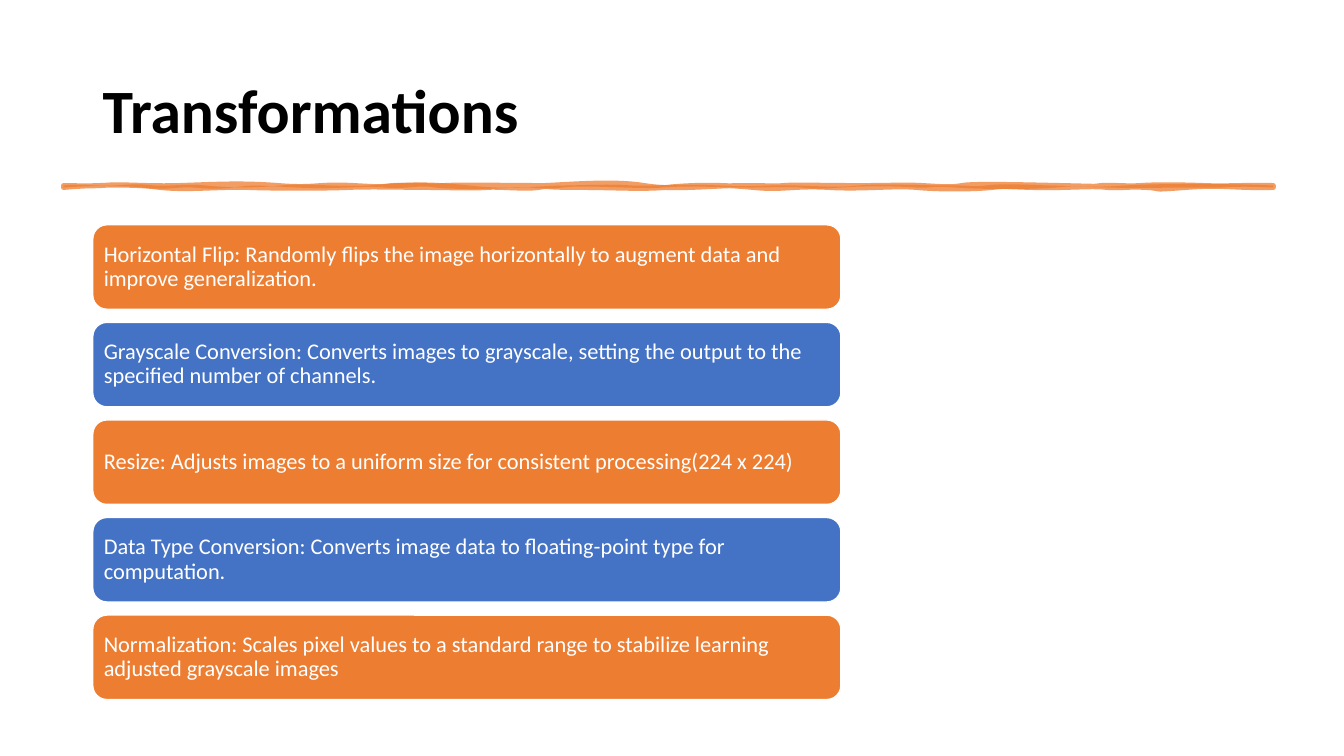
from lxml.etree import SubElement
from pptx import Presentation
from pptx.dml.color import RGBColor
from pptx.enum.shapes import MSO_SHAPE as Shape
from pptx.enum.text import MSO_ANCHOR as Anchor, PP_ALIGN as Align
from pptx.oxml.ns import qn
from pptx.util import Inches, Pt

COLORS = {"orange": "ED7D31", "blue": "4472C4", "white": "FFFFFF", "black": "000000"}
FONT = "Calibri"
TRANSFORMATIONS = [
    "Horizontal Flip: Randomly flips the image horizontally to augment data and improve generalization.",
    "Grayscale Conversion: Converts images to grayscale, setting the output to the specified number of channels.",
    "Resize: Adjusts images to a uniform size for consistent processing(224 x 224)",
    "Data Type Conversion: Converts image data to floating-point type for computation.",
    "Normalization: Scales pixel values to a standard range to stabilize learning adjusted grayscale images",
]

# Brush waves: control x, bend, control x, bend, end x
# (x in inches on the slide, bends in hundredths of an inch from the edge)
OUTLINE_TOP = [
    (0.81, 0, 0.83, 1, 1.02), (1.2, -2, 1.43, 1, 1.77), (2.1, -1, 2.37, -3, 2.76),
    (3.14, 3, 3.13, -2, 3.51), (3.88, 2, 3.75, 1, 3.9), (4.04, -1, 4.3, 1, 4.41),
    (4.51, -1, 5.15, 0, 5.4), (5.64, -1, 6.09, -5, 6.39), (6.69, 5, 7.06, 0, 7.38),
    (7.69, 0, 7.66, 1, 7.77), (7.87, -1, 8.19, 0, 8.52), (8.84, 0, 8.97, -1, 9.15),
    (9.33, 1, 9.43, 2, 9.54), (9.64, -2, 10.08, -1, 10.53), (10.97, 1, 10.82, 1, 10.92),
    (11.01, -1, 11.17, 1, 11.31), (11.44, -1, 11.68, -1, 11.94), (12.19, 1, 12.41, -1, 12.63)]
OUTLINE_BOTTOM = [
    (12.21, 1, 12.16, -3, 11.76), (11.36, 3, 11.56, 1, 11.37), (11.17, -1, 11.13, 1, 10.98),
    (10.82, -2, 10.59, 1, 10.23), (9.86, -1, 10.03, -2, 9.84), (9.65, 2, 9.3, 2, 9.09),
    (8.87, -2, 8.56, 2, 8.22), (7.87, -2, 7.77, 3, 7.47), (7.17, -3, 6.86, -3, 6.6),
    (6.34, 2, 6.11, 0, 5.73), (5.35, 0, 5.47, -2, 5.34), (5.21, 2, 4.94, -1, 4.83),
    (4.72, 1, 4.35, 0, 4.2), (4.05, 0, 3.66, -1, 3.45), (3.23, 1, 2.71, 1, 2.46),
    (2.2, -1, 1.86, 3, 1.59), (1.31, -4, 0.85, -2, 0.63)]
BODY_TOP = [
    (0.81, -2, 0.96, 1, 1.14), (1.31, -1, 1.35, -2, 1.53), (1.71, 1, 1.83, -2, 2.04),
    (2.24, 2, 2.48, 3, 2.79), (3.09, -3, 3.29, 2, 3.66), (4.02, -3, 4.18, -5, 4.65),
    (5.11, 5, 5.31, 0, 5.64), (5.96, -1, 6.12, -1, 6.27), (6.41, 1, 6.75, -2, 7.14),
    (7.52, 2, 7.57, -1, 7.89), (8.2, 1, 8.34, 2, 8.52), (8.69, -2, 9.2, 0, 9.39),
    (9.57, -1, 9.62, 2, 9.78), (9.93, -2, 10.13, -1, 10.41), (10.68, 1, 10.87, 2, 11.16),
    (11.44, -2, 12.18, -2, 12.63)]
BODY_BOTTOM = [
    (12.42, -1, 12.24, -1, 12.12), (11.99, 0, 11.89, 0, 11.73), (11.57, 0, 11.31, 1, 10.98),
    (10.64, -1, 10.72, -2, 10.47), (10.21, 2, 9.75, 2, 9.48), (9.21, -2, 9.23, 1, 9.09),
    (8.95, -1, 8.64, -2, 8.34), (8.04, 2, 8.05, 1, 7.95), (7.84, -1, 7.62, 0, 7.44),
    (7.25, 0, 6.77, -2, 6.57), (6.36, 2, 5.8, -3, 5.58), (5.35, 3, 5.24, -2, 5.07),
    (4.89, 2, 4.5, 2, 4.32), (4.14, -3, 4.05, 2, 3.81), (3.57, -2, 3.35, 2, 2.94),
    (2.52, -2, 2.53, -3, 2.31), (2.08, 3, 1.93, -1, 1.8), (1.67, 1, 1.56, 2, 1.41),
    (1.25, -2, 0.9, -2, 0.63)]


def color(name):
    return RGBColor.from_string(COLORS[name])


def add_text(shapes, box, text, size, color_name, inset, bold=False):
    text_box = shapes.add_textbox(*map(Inches, box))
    frame = text_box.text_frame
    frame.text = text
    frame.word_wrap = True
    frame.vertical_anchor = Anchor.MIDDLE
    frame.margin_left = frame.margin_right = Inches(inset)
    frame.margin_top = frame.margin_bottom = Inches(inset)
    paragraph = frame.paragraphs[0]
    paragraph.alignment = Align.LEFT
    paragraph.line_spacing = 0.9
    font = paragraph.runs[0].font
    font.name, font.size, font.bold = FONT, Pt(size), bold
    font.color.rgb = color(color_name)


def wave_curves(waves, edge):
    return [((x1, edge + bend1 / 100), (x2, edge + bend2 / 100), (end, edge))
            for x1, bend1, x2, bend2, end in waves]


def add_contour(contours, box, upper, lower, **paint):
    """Adds one closed curve, measured from the corner of its box."""
    left, top, width, height = box
    right, bottom, middle = left + width, top + height, top + height / 2
    contour = SubElement(contours, qn("a:path"), w=str(Inches(width)), h=str(Inches(height)), **paint)

    def add_step(tag, points):
        step = SubElement(contour, qn(tag))
        for x, y in points:
            SubElement(step, qn("a:pt"), x=str(Inches(x - left)), y=str(Inches(y - top)))

    add_step("a:moveTo", [(left, top)])
    right_cap = ((right, middle), (right, middle), (right, bottom))
    left_cap = ((left, middle), (left, middle), (left, top))
    for curve in [*wave_curves(upper, top), right_cap, *wave_curves(lower, bottom), left_cap]:
        add_step("a:cubicBezTo", curve)
    SubElement(contour, qn("a:close"))


def add_brush_rule(slide, left, top, width, height):
    box = left, top, width, height
    right, bottom = left + width, top + height
    builder = slide.shapes.build_freeform(Inches(left), Inches(top), scale=1.0)
    corners = [(right, top), (right, bottom), (left, bottom)]
    builder.add_line_segments([(Inches(x), Inches(y)) for x, y in corners], close=True)
    rule = builder.convert_to_shape()
    rule.shadow.inherit = False

    # Stroke-only and fill-only curves replace the straight edges
    contours = rule.element.spPr.find(".//" + qn("a:pathLst"))
    contours.remove(contours[0])
    add_contour(contours, box, OUTLINE_TOP, OUTLINE_BOTTOM, fill="none")
    add_contour(contours, box, BODY_TOP, BODY_BOTTOM, stroke="0")

    # Translucent paint
    rule.fill.solid()
    rule.fill.fore_color.rgb = color("orange")
    rule.line.color.rgb = color("orange")
    rule.line.width = Pt(3.5)
    for paint in rule.element.spPr.iter(qn("a:srgbClr")):
        SubElement(paint, qn("a:alpha"), val="75000")
    SubElement(rule.element.spPr.find(qn("a:ln")), qn("a:round"))


def add_bars(slide, left, top, width, height, texts, gap=0.13, padding=0.04):
    group = slide.shapes.add_group_shape()
    bar_height = (height - gap * (len(texts) - 1)) / len(texts)
    for index, text in enumerate(texts):
        bar_top = top + index * (bar_height + gap)
        bar = group.shapes.add_shape(
            Shape.ROUNDED_RECTANGLE, *map(Inches, (left, bar_top, width, bar_height)))
        bar.shadow.inherit = False
        bar.fill.solid()
        bar.fill.fore_color.rgb = color(("orange", "blue")[index % 2])
        bar.line.color.rgb = color("white")
        bar.line.width = Pt(1)
        text_area = (left + padding, bar_top + padding, width - 2 * padding, bar_height - 2 * padding)
        add_text(group.shapes, text_area, text, 16, "white", 0.07)


def main():
    presentation = Presentation()
    presentation.slide_width, presentation.slide_height = Inches(13.33), Inches(7.5)
    slide = presentation.slides.add_slide(presentation.slide_layouts[6])
    add_brush_rule(slide, 0.63, 1.84, 12, 0.02)
    add_text(slide.shapes, (0.92, 0.4, 11.5, 1.45), "Transformations", 44, "black", 0.1, bold=True)
    add_bars(slide, 0.92, 2.23, 7.42, 4.71, TRANSFORMATIONS)
    presentation.save("out.pptx")


if __name__ == "__main__":
    main()
